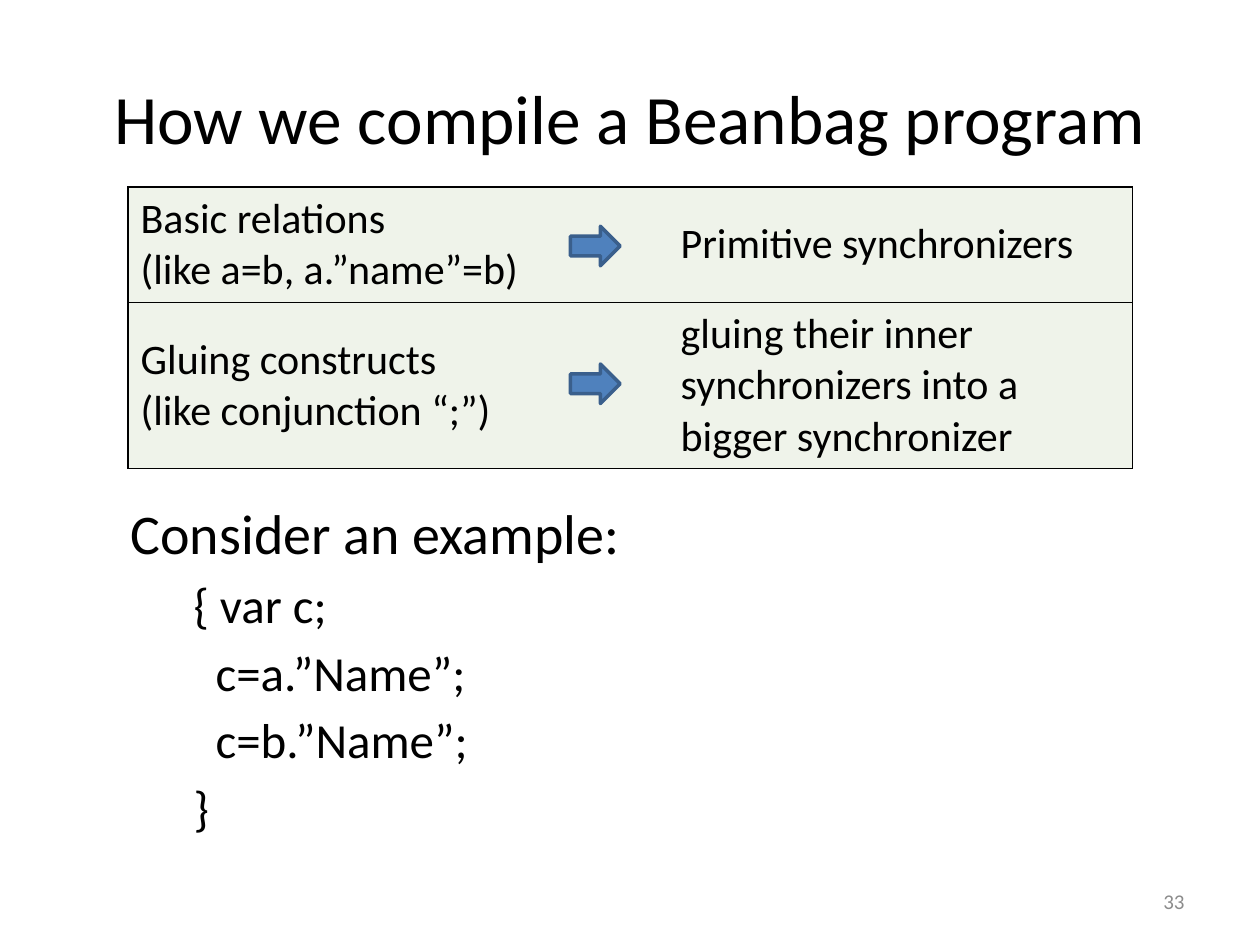
from lxml import etree
from pptx import Presentation
from pptx.dml.color import RGBColor
from pptx.enum.shapes import MSO_SHAPE
from pptx.enum.text import MSO_ANCHOR, PP_ALIGN
from pptx.oxml import parse_xml
from pptx.oxml.ns import nsdecls
from pptx.util import Pt

RIGHT_ARROW = MSO_SHAPE.RIGHT_ARROW
TOP, MIDDLE = MSO_ANCHOR.TOP, MSO_ANCHOR.MIDDLE
LEFT, CENTER, RIGHT = PP_ALIGN.LEFT, PP_ALIGN.CENTER, PP_ALIGN.RIGHT


def rgb(value):
    """Turn a hex string into a colour."""
    return RGBColor.from_string(value)


def write(tf, lines, size, color="000000", align=LEFT, anchor=TOP):
    """Fill a text frame with one paragraph per line and format it."""
    tf.text = "\n".join(lines)
    tf.word_wrap = True
    tf.vertical_anchor = anchor
    for p in tf.paragraphs:
        p.alignment = align
        for r in p.runs:
            r.font.name = "Calibri"
            r.font.size = Pt(size)
            r.font.color.rgb = rgb(color)


prs = Presentation()
prs.slide_width, prs.slide_height = Pt(720), Pt(540)
s = prs.slides.add_slide(prs.slide_layouts[6])

# Title and page number
title = s.shapes.add_textbox(Pt(36), Pt(21.6), Pt(648), Pt(90))
write(title.text_frame, ["How we compile a Beanbag program"], 39.6,
      align=CENTER, anchor=MIDDLE)
number = s.shapes.add_textbox(Pt(516), Pt(500.5), Pt(168), Pt(28.75))
write(number.text_frame, ["33"], 12, "8C8C8C", RIGHT, MIDDLE)

# Example program
code = [
    ("Consider an example:", 32, 0),
    ("{ var c;", 28, 36),
    ("c=a.”Name”;", 28, 48.6),
    ("c=b.”Name”;", 28, 48.6),
    ("}", 28, 36),
]
example = s.shapes.add_textbox(Pt(67.5), Pt(281.5), Pt(616), Pt(201))
tf = example.text_frame
write(tf, [text for text, size, indent in code], 28)
for p, (text, size, indent) in zip(tf.paragraphs, code):
    p.space_before = Pt(5)
    p.runs[0].font.size = Pt(size)
    p._p.get_or_add_pPr().set("marL", str(Pt(indent)))

# Table of program parts and their synchronizers
rows = [
    (["Basic relations", "(like a=b, a.”name”=b)"],
     ["Primitive synchronizers"]),
    (["Gluing constructs", "(like conjunction “;”)"],
     ["gluing their inner synchronizers into a bigger synchronizer"]),
]
frame = s.shapes.add_table(2, 2, Pt(73.2), Pt(106.8), Pt(574), Pt(161))
table = frame.table
for column in table.columns:
    column.width = Pt(287)
for row, height in zip(table.rows, (66, 95)):
    row.height = Pt(height)
for i, row in enumerate(rows):
    for j, lines in enumerate(row):
        cell = table.cell(i, j)
        write(cell.text_frame, lines, 24)
        cell.vertical_anchor = MIDDLE
        if j == 1:
            for p in cell.text_frame.paragraphs:
                p._p.get_or_add_pPr().set("marL", str(Pt(21.6)))
        tcPr = cell._tc.get_or_add_tcPr()
        outer, inner = ("lnL", "lnR") if j == 0 else ("lnR", "lnL")
        for side in ("lnL", "lnR", "lnT", "lnB"):
            ln = parse_xml(f'<a:{side} {nsdecls("a")} w="{Pt(1)}"/>')
            if side == inner:
                etree.SubElement(ln, ln.nsmap["a"].join("{}") + "noFill")
            else:
                ln.append(parse_xml(
                    f'<a:solidFill {nsdecls("a")}>'
                    '<a:srgbClr val="000000"/></a:solidFill>'))
            tcPr.append(ln)
        cell.fill.solid()
        cell.fill.fore_color.rgb = rgb("EFF3EA")

# One arrow per table row
for top in (129.3, 208):
    arrow = s.shapes.add_shape(RIGHT_ARROW, Pt(326), Pt(top), Pt(28.4), Pt(22.6))
    arrow.shadow.inherit = False
    arrow.fill.solid()
    arrow.fill.fore_color.rgb = rgb("4F81BD")
    arrow.line.color.rgb = rgb("3A5F8C")
    arrow.line.width = Pt(2)

prs.save("out.pptx")
